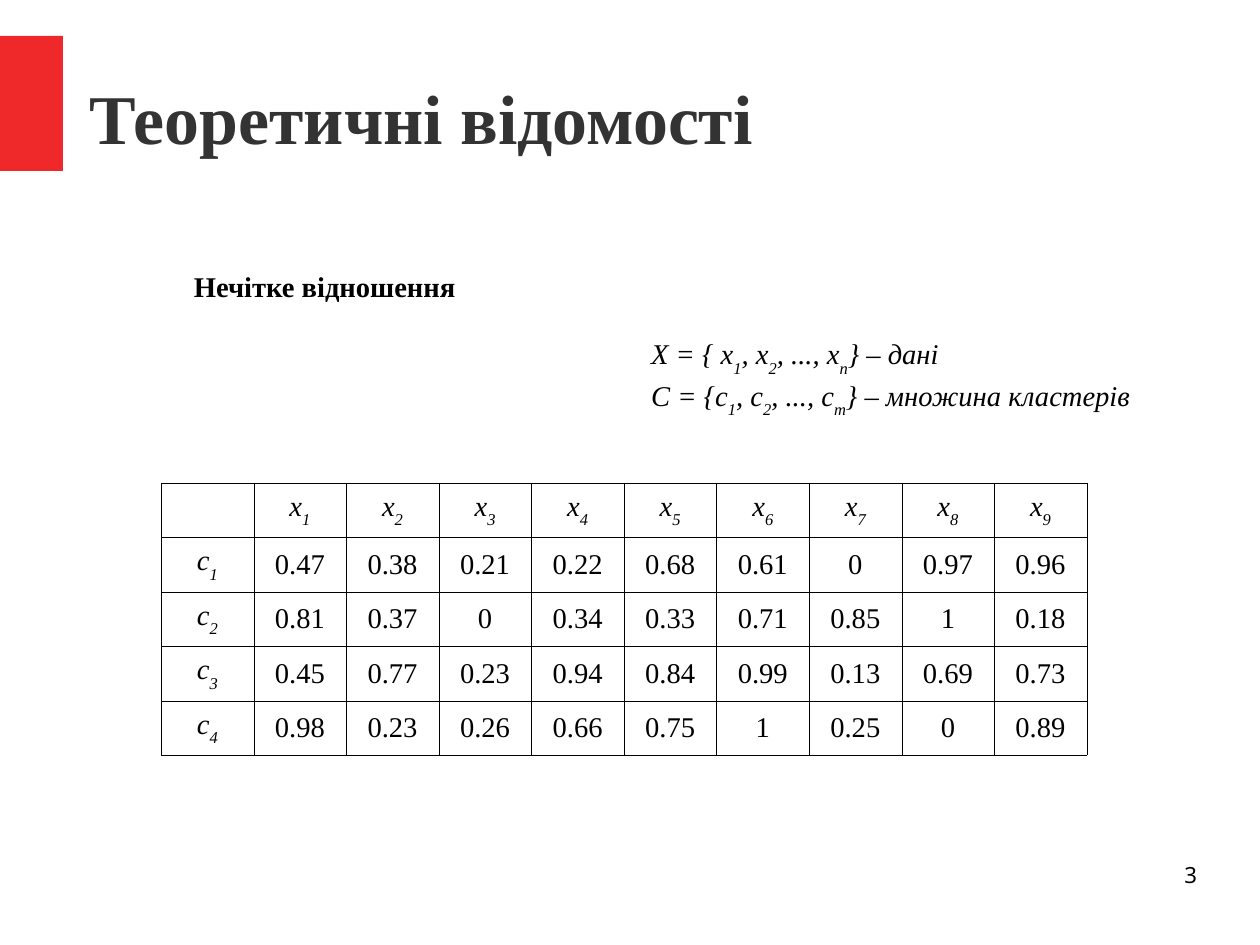
"""Build the slide on fuzzy relations with its membership table."""
from lxml import etree
from pptx import Presentation
from pptx.dml.color import RGBColor
from pptx.enum.shapes import MSO_SHAPE
from pptx.enum.text import MSO_ANCHOR, PP_ALIGN
from pptx.oxml.ns import qn
from pptx.util import Cm, Pt

RECTANGLE = MSO_SHAPE.RECTANGLE
MIDDLE = MSO_ANCHOR.MIDDLE
LEFT, CENTER, RIGHT = PP_ALIGN.LEFT, PP_ALIGN.CENTER, PP_ALIGN.RIGHT
SERIF = "Times New Roman"
BLACK = "000000"


def color(value):
    return RGBColor.from_string(value)


def add_text(frame, text, size=18, font=SERIF, fill=BLACK, bold=False,
             italic=False, align=LEFT, indent=0, before=0):
    """Add a paragraph; parts between tildes become subscripts."""
    paragraph = frame.add_paragraph() if frame.text else frame.paragraphs[0]
    paragraph.alignment = align
    paragraph.space_before = Pt(before)
    paragraph._p.get_or_add_pPr().set("marL", str(Cm(indent)))
    for index, part in enumerate(text.split("~")):
        if not part:
            continue
        run = paragraph.add_run()
        run.text = part
        run.font.name, run.font.size = font, Pt(size)
        run.font.bold, run.font.italic = bold, italic
        run.font.color.rgb = color(fill)
        if index % 2:
            run._r.get_or_add_rPr().set("baseline", "-33000")


presentation = Presentation()
presentation.slide_width, presentation.slide_height = Cm(28), Cm(21)
slide = presentation.slides.add_slide(presentation.slide_layouts[6])

accent = slide.shapes.add_shape(RECTANGLE, Cm(0), Cm(0.8), Cm(1.4), Cm(3))
accent.shadow.inherit = False
accent.fill.solid()
accent.fill.fore_color.rgb = color("EF2929")
accent.line.fill.background()

frames = []
for left, top, width, height, side, edge in [
    (2, 0.84, 24.6, 3.5, 0, 0),
    (1.52, 5.84, 24.13, 3.76, 0.25, 0.13),
    (20.07, 19.13, 6.53, 1.45, 0, 0),
]:
    frame = slide.shapes.add_textbox(Cm(left), Cm(top), Cm(width), Cm(height)).text_frame
    frame.word_wrap = True
    frame.margin_left = frame.margin_right = Cm(side)
    frame.margin_top = frame.margin_bottom = Cm(edge)
    frames.append(frame)
title, definitions, page_number = frames

title.vertical_anchor = MIDDLE
add_text(title, "Теоретичні відомості", size=44, fill="333333", bold=True)
add_text(definitions, "Нечітке відношення", bold=True, indent=2.54)
add_text(definitions, "X = { x~1~, x~2~, ..., x~n~} – дані", italic=True, indent=12.7, before=21)
add_text(definitions, "C = {c~1~, c~2~, ..., c~m~} – множина кластерів", italic=True, indent=12.7)
add_text(page_number, "3", size=14, font="Noto Sans", align=RIGHT)

memberships = [
    ["0.47", "0.38", "0.21", "0.22", "0.68", "0.61", "0", "0.97", "0.96"],
    ["0.81", "0.37", "0", "0.34", "0.33", "0.71", "0.85", "1", "0.18"],
    ["0.45", "0.77", "0.23", "0.94", "0.84", "0.99", "0.13", "0.69", "0.73"],
    ["0.98", "0.23", "0.26", "0.66", "0.75", "1", "0.25", "0", "0.89"],
]
rows = [[""] + [f"x~{number}~" for number in range(1, 10)]]
rows += [[f"c~{number}~"] + values for number, values in enumerate(memberships, 1)]

table = slide.shapes.add_table(
    len(rows), len(rows[0]), Cm(3.58), Cm(10.73), Cm(20.57), Cm(6.05)).table
table.first_row = table.horz_banding = False
for row_index, row in enumerate(rows):
    for column_index, text in enumerate(row):
        cell = table.cell(row_index, column_index)
        cell.vertical_anchor = MIDDLE
        properties = cell._tc.get_or_add_tcPr()
        for side in ("a:lnL", "a:lnR", "a:lnT", "a:lnB"):
            border = etree.SubElement(properties, qn(side), w="720")
            solid = etree.SubElement(border, qn("a:solidFill"))
            etree.SubElement(solid, qn("a:srgbClr"), val=BLACK)
        cell.fill.background()
        add_text(cell.text_frame, text, italic="~" in text, align=CENTER)

presentation.save("out.pptx")
